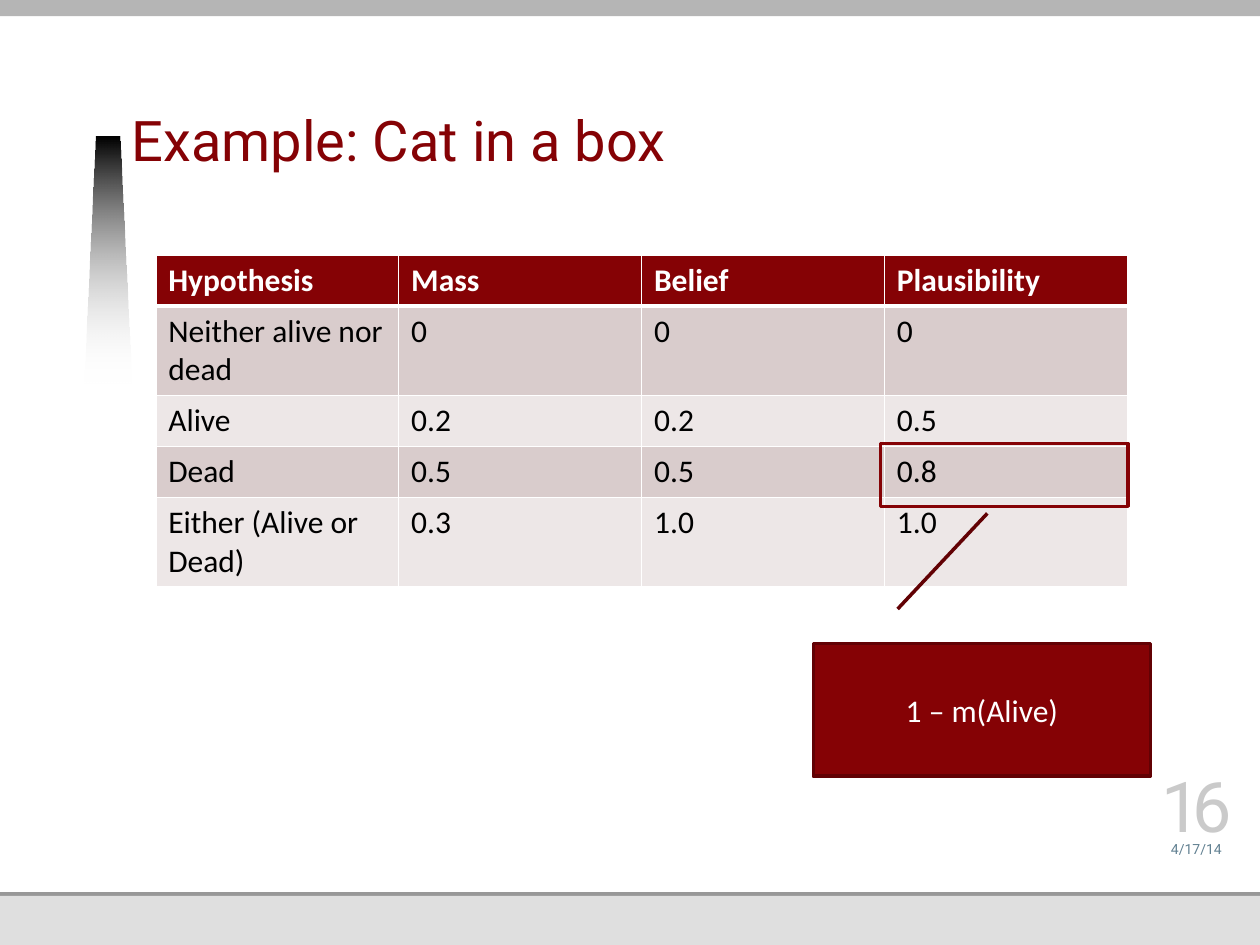
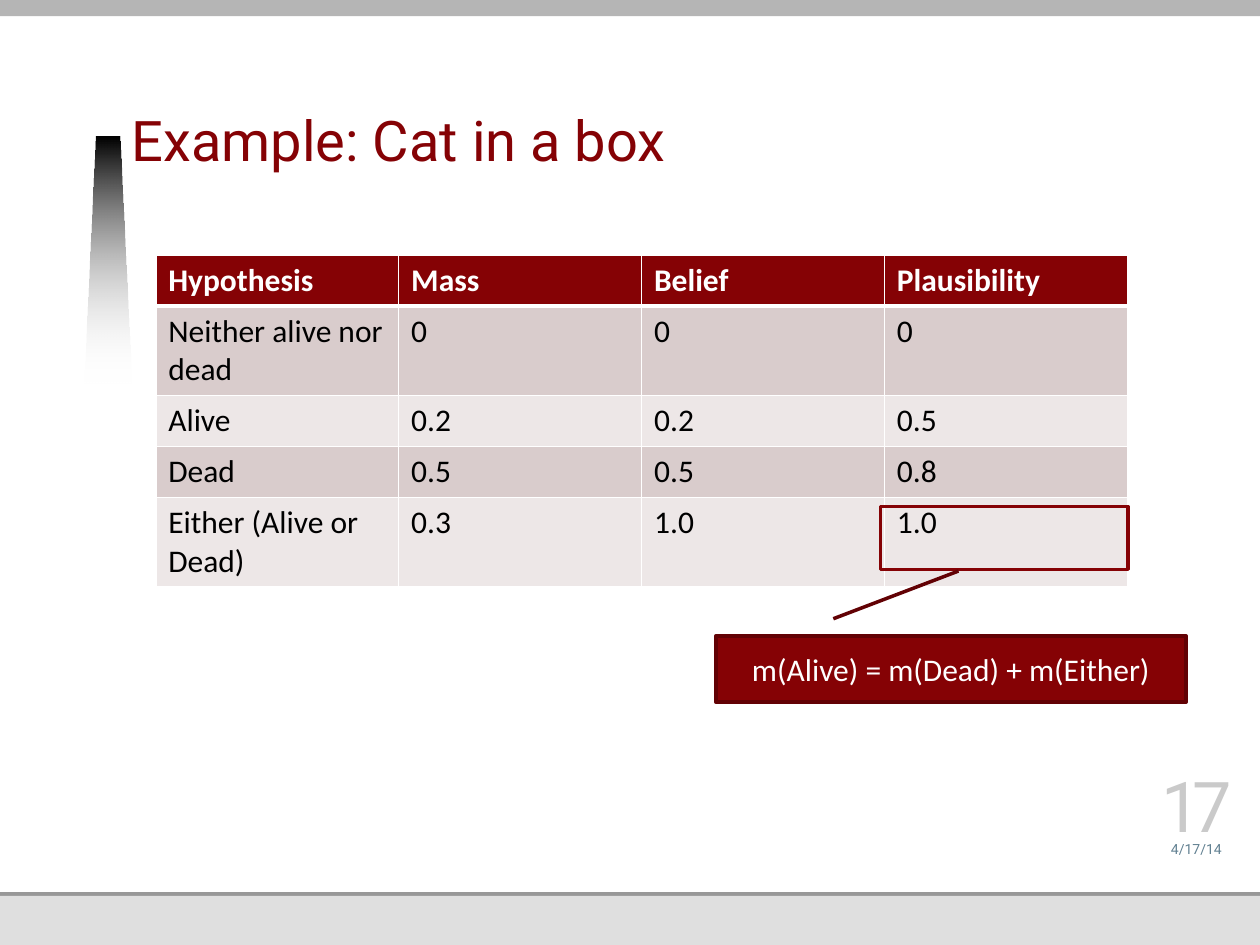
from lxml.etree import SubElement
from pptx import Presentation
from pptx.dml.color import RGBColor
from pptx.enum.shapes import MSO_SHAPE as SHAPE
from pptx.enum.text import MSO_ANCHOR as ANCHOR, MSO_AUTO_SIZE as AUTOSIZE, PP_ALIGN as ALIGN
from pptx.oxml.ns import qn
from pptx.util import Pt

WHITE = RGBColor(0xFF, 0xFF, 0xFF)
BLACK = RGBColor(0x00, 0x00, 0x00)
MAROON = RGBColor(0x85, 0x02, 0x05)
DARK_MAROON = RGBColor(0x62, 0x01, 0x04)
ROSE = RGBColor(0xD9, 0xCC, 0xCC)
PALE_ROSE = RGBColor(0xED, 0xE7, 0xE7)
TOP_GREY = RGBColor(0xB5, 0xB5, 0xB5)
RULE_GREY = RGBColor(0x98, 0x98, 0x98)
FOOTER_GREY = RGBColor(0xDF, 0xDF, 0xDF)
NUMBER_GREY = RGBColor(0xCA, 0xCA, 0xCA)
DATE_BLUE = RGBColor(0x61, 0x80, 0x91)

WIDTH, HEIGHT = 720, 540
TITLE = "Example: Cat in a box"
DATE = "4/17/14"
FIRST_NUMBER = 16
BELIEFS = [
    ("Hypothesis", "Mass", "Belief", "Plausibility"),
    ("Neither alive nor dead", "0", "0", "0"),
    ("Alive", "0.2", "0.2", "0.5"),
    ("Dead", "0.5", "0.5", "0.8"),
    ("Either (Alive or Dead)", "0.3", "1.0", "1.0"),
]
SLIDES = [
    {"highlight_top": 253.4, "callout": "1 – m(Alive)", "box": (464.8, 367.8, 192.6, 75.8)},
    {"highlight_top": 289.4, "callout": "m(Alive) = m(Dead) + m(Either)",
     "box": (409, 363.4, 268.8, 37.8)},
]

BANDS = [(0, 9.2, TOP_GREY), (509.8, 2.2, RULE_GREY), (512, 28, FOOTER_GREY)]
BEACON = [(48.2, 219.4), (54.7, 78), (68.4, 78), (75.2, 219.4)]
TITLE_BOX = (75.2, 24.6, 494.6, 77.6)
TABLE_LEFT, TABLE_TOP, COLUMN, ROW = 89, 145.6, 138.8, 29.2
HIGHLIGHT_LEFT, HIGHLIGHT_SIZE = 503.2, (141.4, 36)
CALLOUT_LEADER = (-0.261, 0.25, -0.982, 0.516)
DATE_BOX = (657.4, 473.8, 52.6, 15.8)
NUMBER_BOX = (657.4, 443.6, 52.6, 40.2)

TITLE_FONT = {"name": "Roboto", "size": Pt(32), "bold": False}
DATE_FONT = {"name": "Roboto", "size": Pt(8)}
NUMBER_FONT = {"name": "Roboto", "size": Pt(40)}
BODY_FONT = {"name": "Calibri", "size": Pt(18), "bold": False}
HEADER_FONT = BODY_FONT | {"bold": True}


def points(box):
    return [Pt(v) for v in box]


def write(tf, text, font, color, align=ALIGN.LEFT):
    p = tf.paragraphs[0]
    p.alignment = align
    r = p.add_run()
    r.text = text
    for name, value in font.items():
        setattr(r.font, name, value)
    r.font.color.rgb = color
    return r


def set_frame(tf, bottom=0):
    frame = {"margin_left": 0, "margin_top": 0, "margin_right": 0, "margin_bottom": Pt(bottom),
             "word_wrap": True, "auto_size": AUTOSIZE.NONE, "vertical_anchor": ANCHOR.BOTTOM}
    for name, value in frame.items():
        setattr(tf, name, value)


def add_box(s, kind, box, fill=None, line=None):
    sp = s.shapes.add_shape(kind, *points(box))
    sp.shadow.inherit = False
    if fill is None:
        sp.fill.background()
    else:
        sp.fill.solid()
        sp.fill.fore_color.rgb = fill
    if line is None:
        sp.line.fill.background()
    else:
        sp.line.color.rgb = line
        sp.line.width = Pt(2)
    return sp


def add_beacon(s):
    builder = s.shapes.build_freeform(*points(BEACON[0]))
    builder.add_line_segments([points(corner) for corner in BEACON[1:]], close=True)
    sp = builder.convert_to_shape()
    sp.shadow.inherit = False
    sp.line.fill.background()
    sp.fill.gradient()
    sp.fill.gradient_angle = 270
    for stop, color in zip(sp.fill.gradient_stops, (BLACK, WHITE)):
        stop.color.rgb = color
    clear_end = list(sp.element.spPr.iter(qn("a:srgbClr")))[-1]
    SubElement(clear_end, qn("a:alpha"), val="0")
    return sp


def decorate_layout(layout, s):
    decor = [add_box(s, SHAPE.RECTANGLE, (0, top, WIDTH, height), color)
             for top, height, color in BANDS]
    decor.append(add_beacon(s))
    for i, sp in enumerate(decor):
        layout.element.cSld.spTree.insert(2 + i, sp.element)


def set_borders(cell, widths):
    tc_pr = cell._tc.get_or_add_tcPr()
    for i, (side, width) in enumerate(widths.items()):
        ln = SubElement(tc_pr, qn(f"a:{side}"), w=str(Pt(width)))
        fill = SubElement(ln, qn("a:solidFill"))
        SubElement(fill, qn("a:srgbClr"), val=str(WHITE))
        tc_pr.insert(i, ln)


def add_beliefs(s):
    rows, cols = len(BELIEFS), len(BELIEFS[0])
    box = (TABLE_LEFT, TABLE_TOP, COLUMN * cols, ROW * rows)
    table = s.shapes.add_table(rows, cols, *points(box)).table
    for i, values in enumerate(BELIEFS):
        table.rows[i].height = Pt(ROW)
        font, color = (BODY_FONT, BLACK) if i else (HEADER_FONT, WHITE)
        fill = (ROSE if i % 2 else PALE_ROSE) if i else MAROON
        for j, value in enumerate(values):
            cell = table.cell(i, j)
            cell.fill.solid()
            cell.fill.fore_color.rgb = fill
            set_borders(cell, {"lnL": 1, "lnR": 1, "lnT": 3 if i == 1 else 1,
                               "lnB": 1 if i else 3})
            write(cell.text_frame, value, font, color)


def add_label(s, box, text, font, color):
    tf = s.shapes.add_textbox(*points(box)).text_frame
    set_frame(tf)
    return write(tf, text, font, color, ALIGN.CENTER)


def add_callout(s, box, text):
    sp = add_box(s, SHAPE.LINE_CALLOUT_1, box, MAROON, DARK_MAROON)
    for i, value in enumerate(CALLOUT_LEADER):
        sp.adjustments[i] = value
    tf = sp.text_frame
    tf.word_wrap = True
    tf.vertical_anchor = ANCHOR.MIDDLE
    write(tf, text, BODY_FONT, WHITE, ALIGN.CENTER)


def set_title(s):
    title = s.shapes.title
    title.left, title.top, title.width, title.height = points(TITLE_BOX)
    tf = title.text_frame
    set_frame(tf, bottom=3.6)
    write(tf, TITLE, TITLE_FONT, MAROON)
    tf.paragraphs[0].line_spacing = Pt(34)


def main():
    prs = Presentation()
    prs.slide_width, prs.slide_height = Pt(WIDTH), Pt(HEIGHT)
    layout = prs.slide_layouts.get_by_name("Title Only")
    for number, content in enumerate(SLIDES, FIRST_NUMBER):
        s = prs.slides.add_slide(layout)
        if number == FIRST_NUMBER:
            decorate_layout(layout, s)
        set_title(s)
        add_beliefs(s)
        add_label(s, DATE_BOX, DATE, DATE_FONT, DATE_BLUE)
        r = add_label(s, NUMBER_BOX, str(number), NUMBER_FONT, NUMBER_GREY)
        r.font._element.set("spc", "-500")
        highlight = (HIGHLIGHT_LEFT, content["highlight_top"], *HIGHLIGHT_SIZE)
        add_box(s, SHAPE.RECTANGLE, highlight, line=MAROON)
        add_callout(s, content["box"], content["callout"])
    prs.save("out.pptx")


if __name__ == "__main__":
    main()
